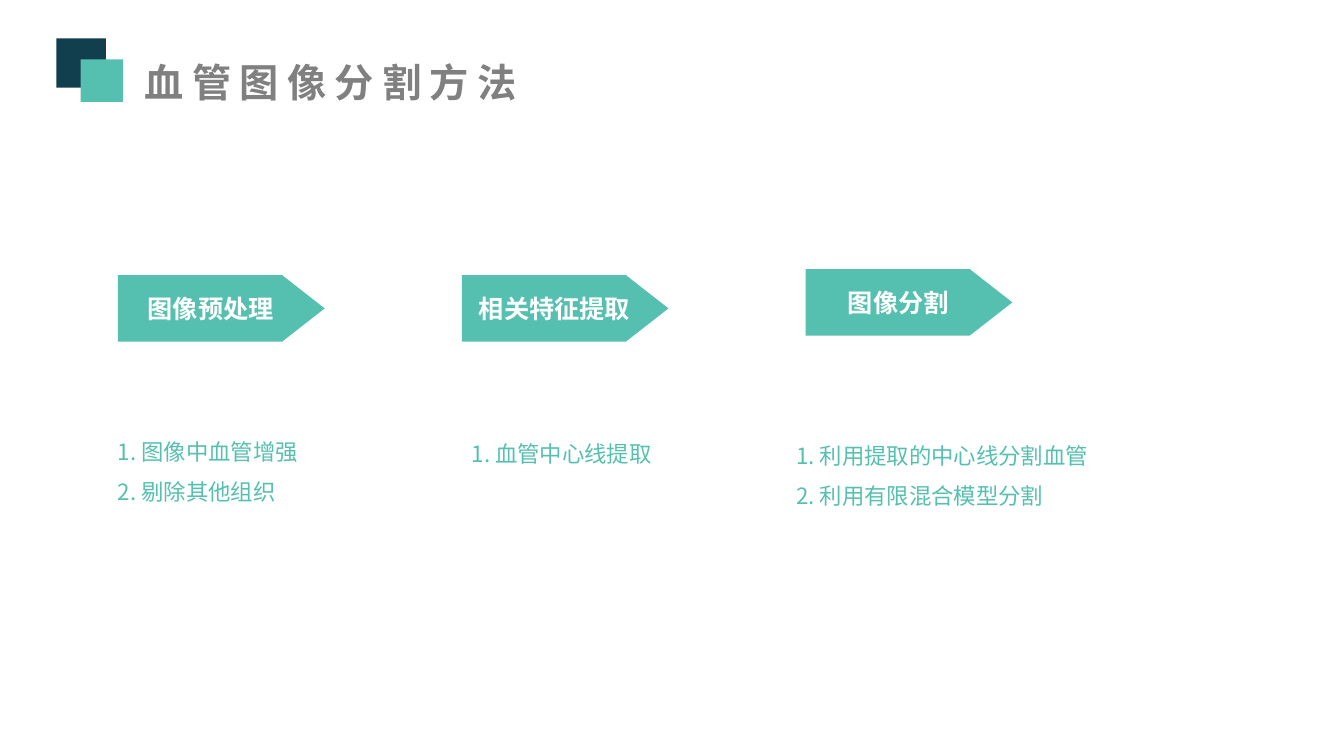
from pptx import Presentation
from pptx.dml.color import RGBColor
from pptx.enum.shapes import MSO_SHAPE
from pptx.enum.text import MSO_ANCHOR, MSO_AUTO_SIZE, PP_ALIGN
from pptx.oxml.ns import qn
from pptx.util import Inches, Pt

NAVY = RGBColor(0x11, 0x3F, 0x4E)
TEAL = RGBColor(0x55, 0xC0, 0xAF)
GREY = RGBColor(0x80, 0x80, 0x80)
WHITE = RGBColor(0xFF, 0xFF, 0xFF)
FONT = "Noto Sans CJK SC"
TITLE_ONLY = 5

# Each step: heading, arrow (left, top), notes (left, top, width, height), notes
STEPS = [
    ("图像预处理", (1.17, 2.73), (1.07, 4.16, 1.99, 0.91),
     ["1. 图像中血管增强", "2. 剔除其他组织"]),
    ("相关特征提取", (4.58, 2.73), (4.58, 4.18, 1.99, 0.91),
     ["1. 血管中心线提取"]),
    ("图像分割", (7.99, 2.67), (7.8, 4.2, 3.14, 0.87),
     ["1. 利用提取的中心线分割血管", "2. 利用有限混合模型分割"]),
]


def write_text(frame, lines, size, color, bold=False, align=PP_ALIGN.LEFT,
               anchor=MSO_ANCHOR.TOP, wrap=False, line_height=None, tracking=0):
    """Fill a text frame with one formatted paragraph per line."""
    frame.word_wrap = wrap
    frame.auto_size = MSO_AUTO_SIZE.NONE
    frame.vertical_anchor = anchor
    for index, line in enumerate(lines):
        paragraph = frame.add_paragraph() if index else frame.paragraphs[0]
        paragraph.alignment = align
        if line_height:
            paragraph.line_spacing = Pt(line_height)
        run = paragraph.add_run()
        run.text = line
        run.font.size = Pt(size)
        run.font.bold = bold
        run.font.color.rgb = color
        run.font.name = FONT
        properties = run.font._element
        east_asian = properties.makeelement(qn("a:ea"), {"typeface": FONT})
        properties.find(qn("a:latin")).addnext(east_asian)
        if tracking:
            properties.set("spc", str(tracking * 100))


class SlideBuilder:
    def __init__(self, slide):
        self.slide = slide

    def title(self, text, left, top, width, height):
        title = self.slide.shapes.title
        title.left, title.top = Inches(left), Inches(top)
        title.width, title.height = Inches(width), Inches(height)
        write_text(title.text_frame, [text], 28, GREY, bold=True, tracking=6,
                   align=PP_ALIGN.CENTER, anchor=MSO_ANCHOR.MIDDLE)

    def block(self, kind, left, top, width, height, fill):
        block = self.slide.shapes.add_shape(
            kind, Inches(left), Inches(top), Inches(width), Inches(height))
        block.shadow.inherit = False
        block.fill.solid()
        block.fill.fore_color.rgb = fill
        block.line.fill.background()
        return block

    def arrow(self, heading, left, top):
        arrow = self.block(MSO_SHAPE.PENTAGON, left, top, 2.05, 0.66, TEAL)
        arrow.adjustments[0] = 0.64
        write_text(arrow.text_frame, [heading], 18, WHITE, bold=True,
                   align=PP_ALIGN.CENTER, anchor=MSO_ANCHOR.MIDDLE)

    def notes(self, lines, left, top, width, height):
        notes = self.slide.shapes.add_textbox(
            Inches(left), Inches(top), Inches(width), Inches(height))
        write_text(notes.text_frame, lines, 16, TEAL, wrap=True, line_height=29)


def main():
    deck = Presentation()
    deck.slide_width, deck.slide_height = Inches(13.33), Inches(7.5)
    builder = SlideBuilder(deck.slides.add_slide(deck.slide_layouts[TITLE_ONLY]))

    # Title with its two overlapping squares
    builder.title("血管图像分割方法", 1.27, 0.53, 4.02, 0.57)
    builder.block(MSO_SHAPE.RECTANGLE, 0.56, 0.38, 0.49, 0.49, NAVY)
    builder.block(MSO_SHAPE.RECTANGLE, 0.8, 0.59, 0.42, 0.42, TEAL)

    # Three steps of the method
    for heading, arrow_place, notes_place, lines in STEPS:
        builder.arrow(heading, *arrow_place)
        builder.notes(lines, *notes_place)

    deck.save("out.pptx")


if __name__ == "__main__":
    main()
